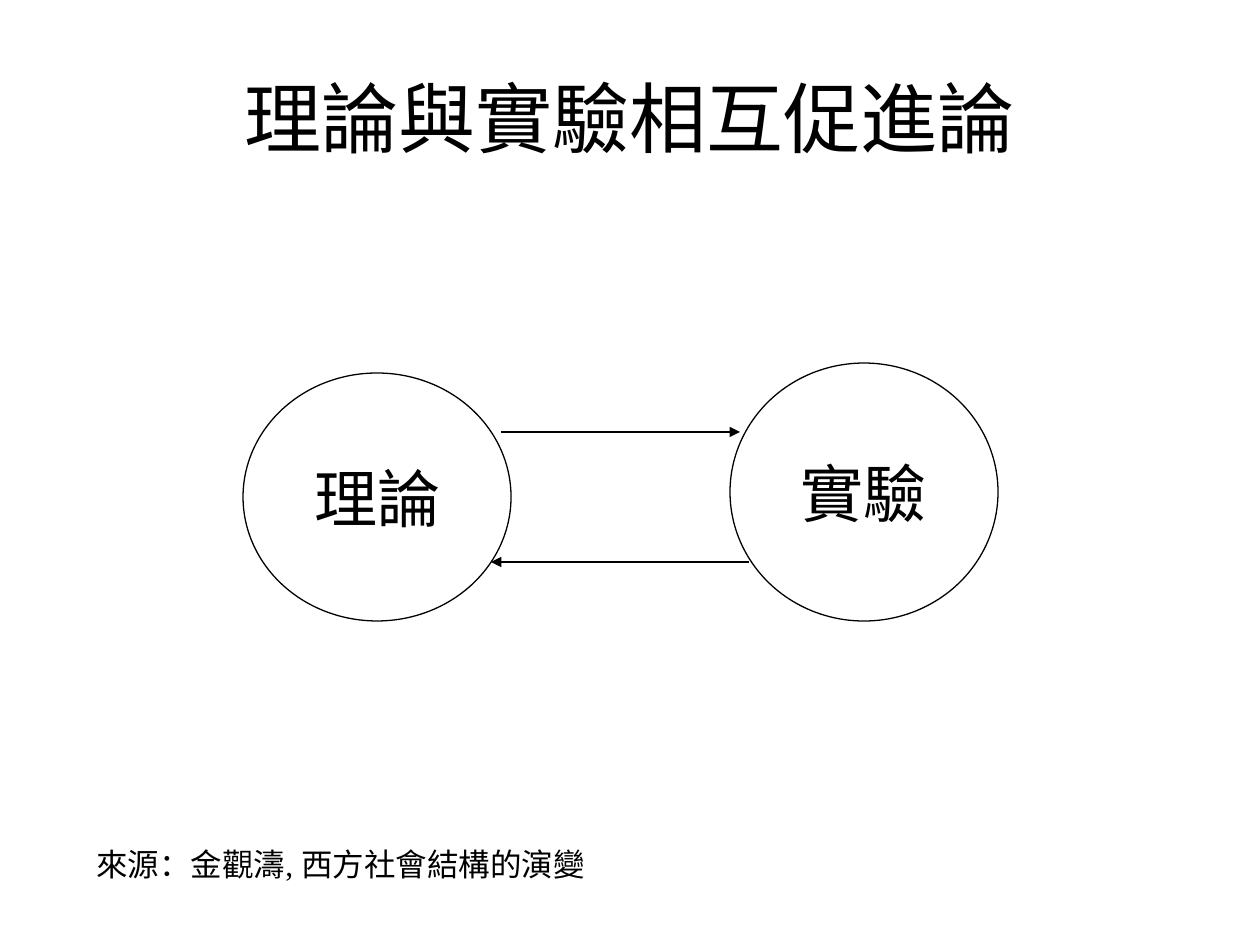
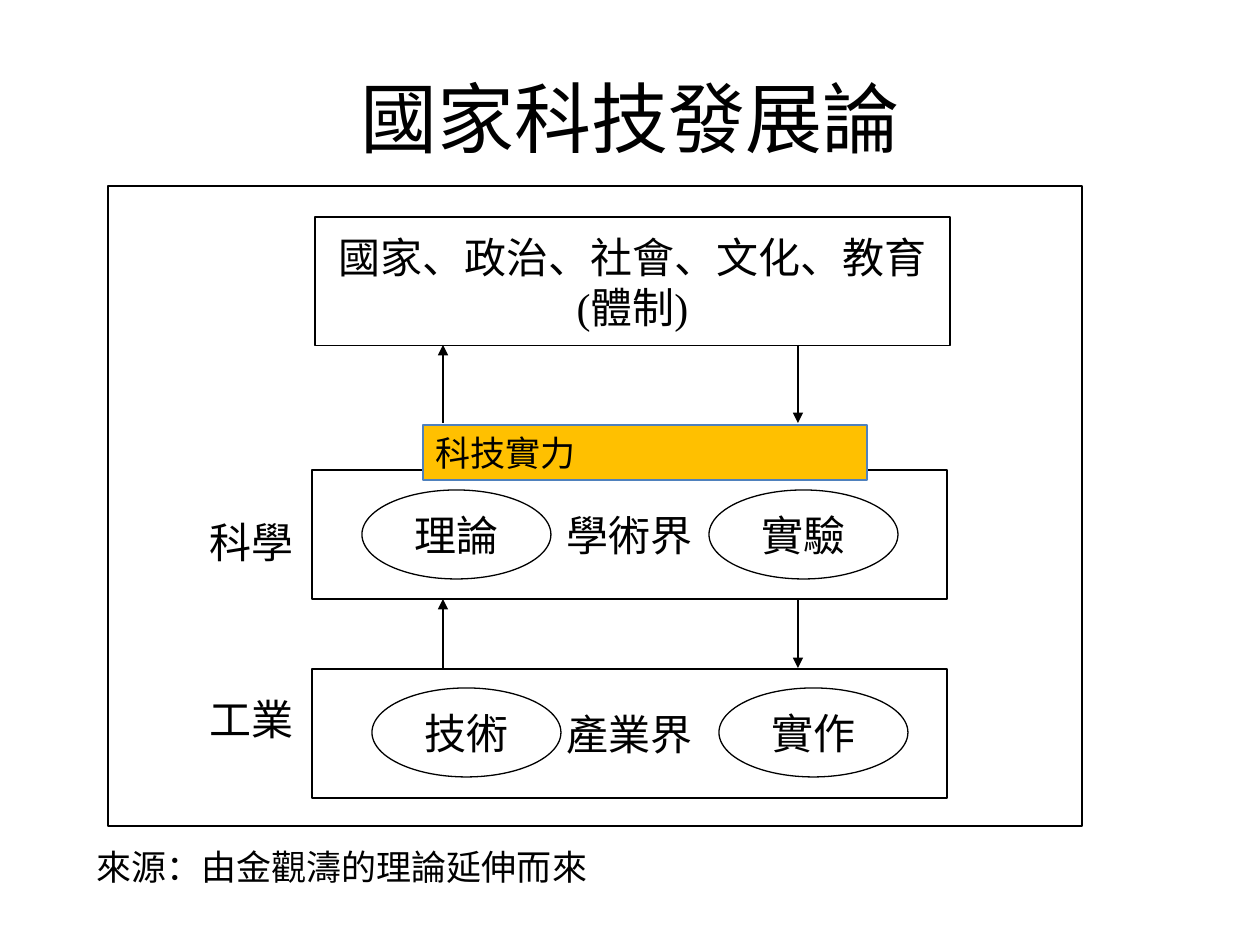
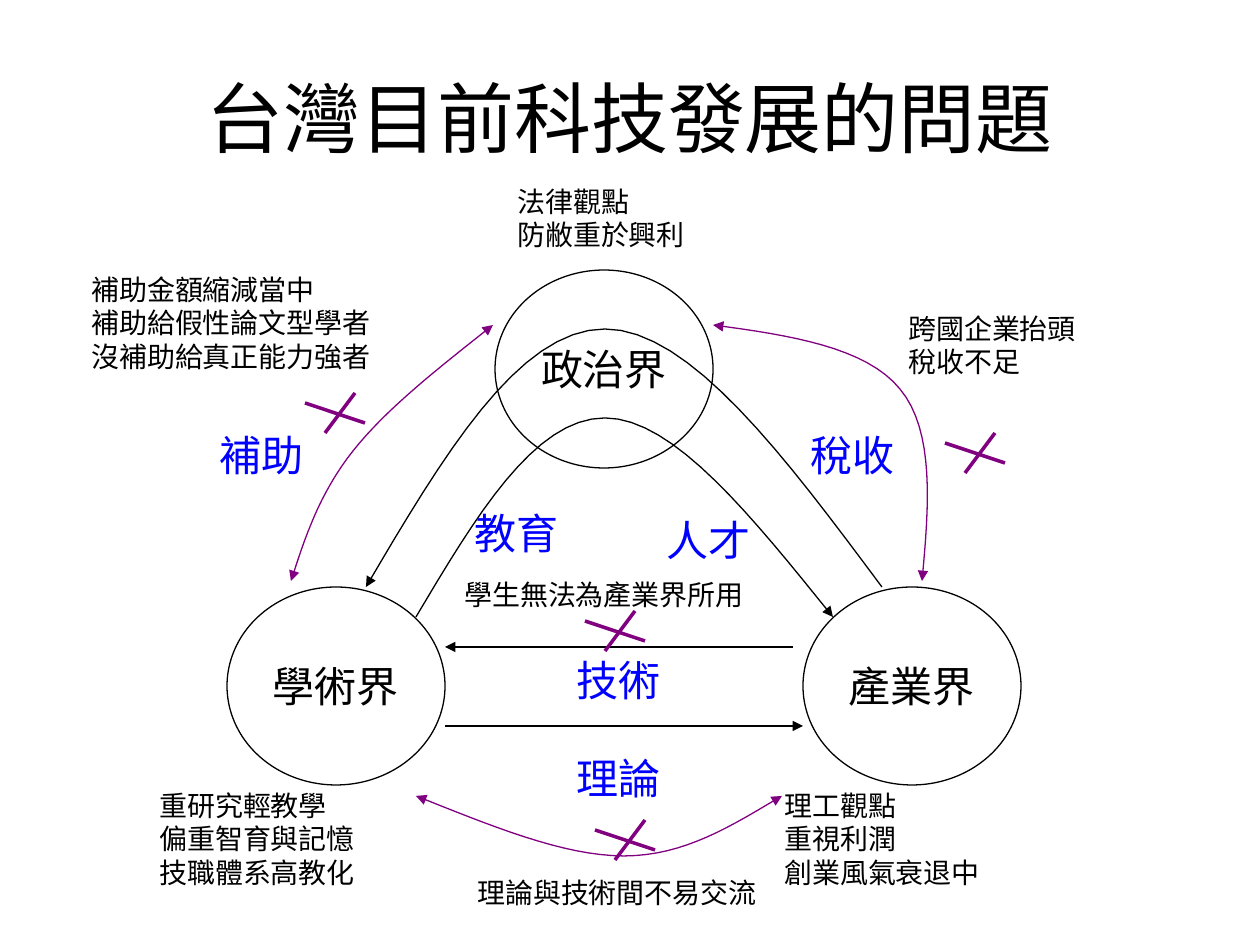
from lxml import etree
from pptx import Presentation
from pptx.dml.color import RGBColor
from pptx.enum.shapes import MSO_CONNECTOR, MSO_SHAPE
from pptx.enum.text import MSO_ANCHOR, PP_ALIGN
from pptx.oxml.ns import qn
from pptx.util import Pt

PX = 914400 / 126
OVAL, RECT = MSO_SHAPE.OVAL, MSO_SHAPE.RECTANGLE
STRAIGHT = MSO_CONNECTOR.STRAIGHT
TOP, MIDDLE = MSO_ANCHOR.TOP, MSO_ANCHOR.MIDDLE
LEFT, CENTER = PP_ALIGN.LEFT, PP_ALIGN.CENTER
COLORS = {"ink": "000000", "label": "0000FF", "problem": "800080",
          "bar": "FFC000", "bar_line": "4F81BD"}
SERIF, SANS_TC, SANS_SC = "Times New Roman", "Noto Sans CJK TC", "Noto Sans CJK SC"
CURVE_STEPS = 16


def add_box(slide, box, text, size, kind=None, color="ink", font=SERIF,
            align=LEFT, anchor=TOP, fill=None, line="ink"):
    x, y, w, h = [round(v * PX) for v in box]
    if kind is None:
        sp = slide.shapes.add_textbox(x, y, w, h)
    else:
        sp = slide.shapes.add_shape(kind, x, y, w, h)
        sp.shadow.inherit = False
        sp.line.color.rgb = RGBColor.from_string(COLORS[line])
        sp.line.width = Pt(0.75)
        if fill:
            sp.fill.solid()
            sp.fill.fore_color.rgb = RGBColor.from_string(COLORS[fill])
        else:
            sp.fill.background()
    tf = sp.text_frame
    tf.word_wrap = False
    tf.vertical_anchor = anchor
    tf.text = text
    for p in tf.paragraphs:
        p.alignment = align
        for r in p.runs:
            r.font.size = Pt(size)
            r.font.name = font
            r.font.color.rgb = RGBColor.from_string(COLORS[color])


def add_path(slide, points, color="ink", width=0.75, ends=("tailEnd",)):
    pts = [(x * PX, y * PX) for x, y in points]
    if len(pts) == 2:
        (x1, y1), (x2, y2) = pts
        sp = slide.shapes.add_connector(STRAIGHT, round(x1), round(y1), round(x2), round(y2))
    else:
        curve = []
        for i in range(0, len(pts) - 1, 3):
            for step in range(1, CURVE_STEPS + 1):
                t = step / CURVE_STEPS
                weights = ((1 - t) ** 3, 3 * t * (1 - t) ** 2, 3 * t * t * (1 - t), t ** 3)
                curve.append([sum(k * p[axis] for k, p in zip(weights, pts[i:i + 4]))
                              for axis in (0, 1)])
        builder = slide.shapes.build_freeform(*pts[0])
        builder.add_line_segments(curve, close=False)
        sp = builder.convert_to_shape()
        sp.fill.background()
    sp.line.color.rgb = RGBColor.from_string(COLORS[color])
    sp.line.width = Pt(width)
    sp_pr = sp.element.spPr
    ln = sp_pr.find(qn("a:ln"))
    for end in ends:
        etree.SubElement(ln, qn(f"a:{end}"), type="triangle")
    etree.SubElement(sp_pr, qn("a:effectLst"))


prs = Presentation()
prs.slide_width = round(1260 * PX)
prs.slide_height = round(945 * PX)

slides = []
for title, font in [("理論與實驗相互促進論", SERIF), ("國家科技發展論", SERIF),
                    ("台灣目前科技發展的問題", SANS_SC)]:
    slide = prs.slides.add_slide(prs.slide_layouts[6])
    add_box(slide, (63, 38, 1134, 158), title, 44, font=font, align=CENTER, anchor=MIDDLE)
    slides.append(slide)
mutual, national, problems = slides

for box, text in [((243, 373, 268, 248), "理論"), ((730, 363, 268, 258), "實驗")]:
    add_box(mutual, box, text, 36, OVAL, align=CENTER, anchor=MIDDLE)
add_box(mutual, (84, 839, 529, 50), "來源：金觀濤, 西方社會結構的演變", 18)
add_path(mutual, [(501, 432), (740, 432)])
add_path(mutual, [(749, 562), (491, 562)])

add_box(national, (108, 186, 974, 640), "", 24, RECT)
for x, y, text in [(315, 217, "國家、政治、社會、文化、教育\n(體制)"),
                   (312, 470, "學術界"), (312, 669, "產業界")]:
    add_box(national, (x, y, 635, 129), text, 24, RECT, align=CENTER, anchor=MIDDLE)
for x, y, left, right in [(362, 490, "理論", "實驗"), (372, 688, "技術", "實作")]:
    for dx, text in [(0, left), (347, right)]:
        add_box(national, (x + dx, y, 189, 89), text, 24, OVAL, align=CENTER, anchor=MIDDLE)
for y, text in [(510, "科學"), (687, "工業")]:
    add_box(national, (197, y, 110, 63), text, 24)
add_box(national, (423, 425, 444, 55), "科技實力", 20, RECT, fill="bar", line="bar_line")
for top, bottom in [(345, 423), (599, 668)]:
    add_path(national, [(443, bottom), (443, top)])
    add_path(national, [(798, top), (798, bottom)])
add_box(national, (84, 839, 517, 54), "來源：由金觀濤的理論延伸而來", 20)

for x, y, text in [(227, 587, "學術界"), (495, 270, "政治界"), (803, 587, "產業界")]:
    add_box(problems, (x, y, 218, 198), text, 24, OVAL, align=CENTER, anchor=MIDDLE)
for flow in [
    [(793, 647), (445, 647)],
    [(445, 726), (803, 726)],
    [(882, 587), (786, 458), (690, 329), (605, 329), (518, 329), (442, 458), (366, 587)],
    [(416, 617), (475, 518), (534, 418), (605, 418), (674, 418), (753, 518), (833, 617)],
]:
    add_path(problems, flow)
for x, y, text in [(207, 423, "補助"), (798, 423, "稅收"), (462, 501, "教育"),
                   (654, 508, "人才"), (564, 746, "理論"), (564, 648, "技術")]:
    add_box(problems, (x, y, 110, 63), text, 24, color="label")
for box, text, font in [
    ((505, 178, 193, 81), "法律觀點\n防敝重於興利", SANS_TC),
    ((772, 782, 223, 115), "理工觀點\n重視利潤\n創業風氣衰退中", SANS_TC),
    ((147, 782, 222, 113), "重研究輕教學\n偏重智育與記憶\n技職體系高教化", SERIF),
    ((452, 571, 305, 47), "學生無法為產業界所用", SANS_TC),
    ((79, 266, 305, 113), "補助金額縮減當中\n補助給假性論文型學者\n沒補助給真正能力強者", SANS_TC),
    ((896, 305, 193, 79), "跨國企業抬頭\n稅收不足", SANS_TC),
    ((465, 869, 305, 47), "理論與技術間不易交流", SANS_TC),
]:
    add_box(problems, box, text, 16, font=font)
for link in [
    [(713, 325), (789, 335), (866, 347), (900, 389), (935, 431), (929, 507), (922, 581)],
    [(416, 796), (489, 825), (563, 856), (624, 856), (685, 856), (733, 825), (782, 796)],
    [(493, 325), (440, 367), (387, 408), (353, 451), (319, 494), (305, 538), (291, 581)],
]:
    add_path(problems, link, "problem", ends=("headEnd", "tailEnd"))
for x, y in [(945, 443), (595, 830), (585, 621), (305, 403)]:
    add_path(problems, [(x + 60, y + 20), (x, y)], "problem", 2, ())
    add_path(problems, [(x + 50, y - 10), (x + 20, y + 30)], "problem", 2, ())

prs.save("out.pptx")
